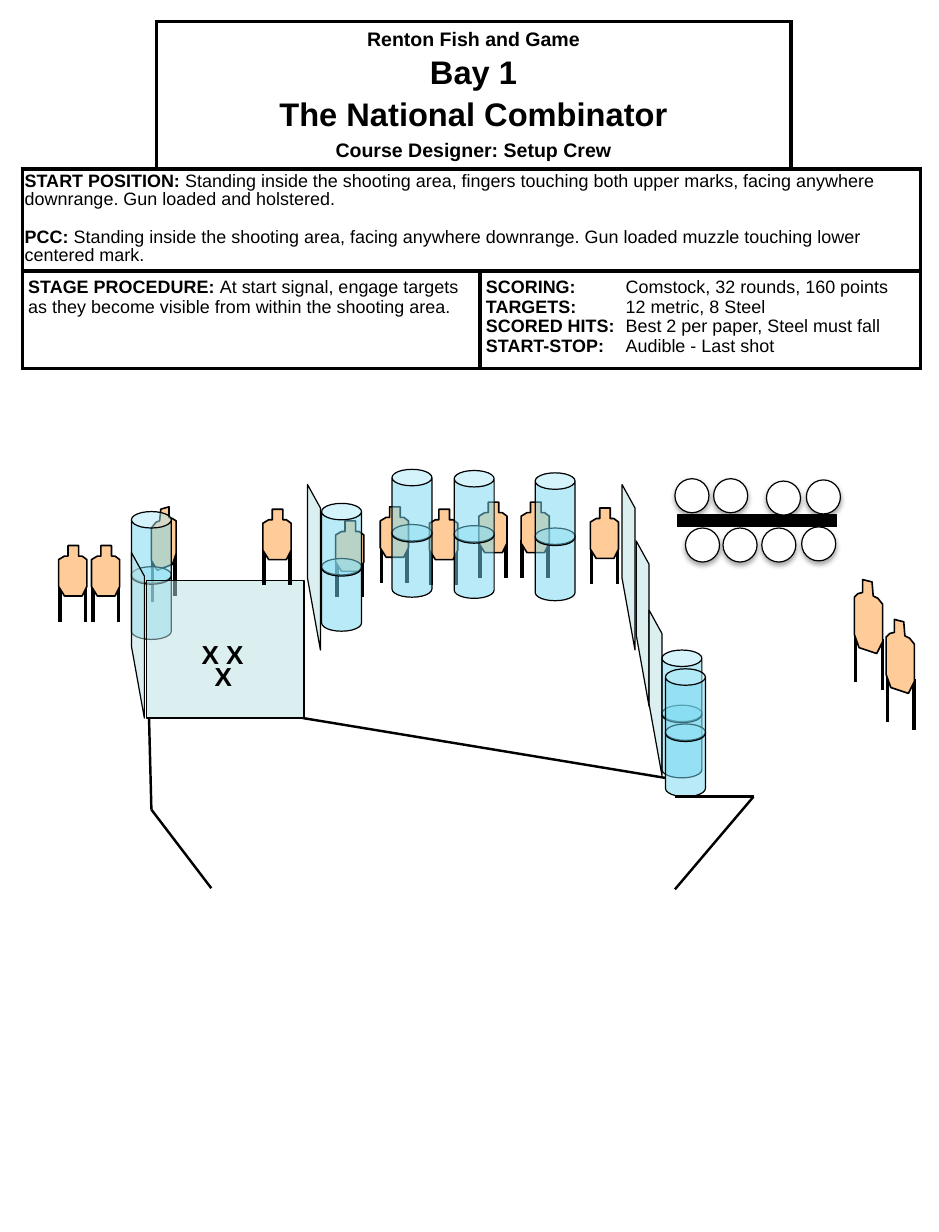
from dataclasses import dataclass

from pptx import Presentation
from pptx.dml.color import RGBColor
from pptx.enum.shapes import MSO_CONNECTOR, MSO_SHAPE
from pptx.enum.text import MSO_ANCHOR, MSO_AUTO_SIZE, PP_ALIGN
from pptx.oxml import parse_xml
from pptx.oxml.ns import nsdecls, qn
from pptx.util import Inches, Pt

STRAIGHT = MSO_CONNECTOR.STRAIGHT
RECT, OVAL, CAN = MSO_SHAPE.RECTANGLE, MSO_SHAPE.OVAL, MSO_SHAPE.CAN
CENTER, MIDDLE, TOP = PP_ALIGN.CENTER, MSO_ANCHOR.MIDDLE, MSO_ANCHOR.TOP

BLACK = RGBColor(0x00, 0x00, 0x00)
WHITE = RGBColor(0xFF, 0xFF, 0xFF)
TAN = RGBColor(0xFF, 0xCC, 0x99)
WALL = RGBColor(0xBB, 0xE0, 0xE3)
BARREL = RGBColor(0x73, 0xD9, 0xF1)

Point = tuple[float, float]


@dataclass(frozen=True)
class Target:
    outline: tuple[Point, ...]
    posts: tuple[Point, ...]
    post_height: float


@dataclass(frozen=True)
class Para:
    runs: tuple[tuple[str, bool], ...]
    size: float = 11
    before: float = 0
    line: float | None = None
    align: PP_ALIGN | None = None
    tab: float | None = None


@dataclass(frozen=True)
class Block:
    row: int
    first: int
    last: int
    margins: Point
    paras: tuple[Para, ...]
    anchor: MSO_ANCHOR = TOP


UPRIGHT = Target(
    ((.08, 0), (.17, 0), (.17, .09), (.2, .09), (.24, .12), (.24, .35), (.2, .43),
     (.05, .43), (0, .35), (0, .12), (.05, .09), (.08, .09)),
    ((.01, .32), (.23, .32)), .33)
TURNED_LEFT = Target(
    ((.08, .02), (.15, 0), (.15, .09), (.18, .1), (.21, .12), (.21, .4), (.18, .49),
     (.05, .54), (0, .46), (0, .18), (.04, .13), (.07, .12)),
    ((.01, .43), (.2, .38)), .38)
TURNED_RIGHT = Target(
    ((.15, .02), (.07, 0), (.07, .11), (.03, .12), (0, .15), (0, .47), (.04, .58),
     (.19, .63), (.24, .53), (.24, .21), (.2, .16), (.16, .14)),
    ((.24, .51), (.01, .44)), .43)
PANEL = ((0, .8), (.11, 1.41), (.11, .2), (0, 0))

COLUMNS = (1.14, 2.76, 2.65, 1.1)
ROWS = (1.26, .87, .83)
OPEN_SIDES = {(0, 0): "LT", (0, 3): "RT"}


def heading(text: str, size: float, before: float) -> Para:
    return Para(((text, True),), size, before, align=CENTER)


def fact(label: str, value: str) -> Para:
    return Para(((label, True), ("\t" + value, False)), tab=1.19)


BLOCKS = (
    Block(0, 1, 2, (.05, .05), (
        heading("Renton Fish and Game", 12, 0),
        heading("Bay 1", 20, 3),
        heading("The National Combinator", 20, 3.5),
        heading("Course Designer: Setup Crew", 12, 3.5)), MIDDLE),
    Block(1, 0, 3, (.02, .04), (
        Para((("START POSITION:", True),
              (" Standing inside the shooting area, fingers touching both upper marks, "
               "facing anywhere downrange. Gun loaded and holstered.", False)), line=.9),
        Para((("PCC: ", True),
              ("Standing inside the shooting area, facing anywhere downrange. "
               "Gun loaded muzzle touching lower centered mark.", False)),
             before=12, line=.9))),
    Block(2, 0, 1, (.05, .05), (
        Para((("STAGE PROCEDURE: ", True),
              ("At start signal, engage targets as they become visible "
               "from within the shooting area.", False))),)),
    Block(2, 2, 3, (.05, .05), (
        fact("SCORING:", "Comstock, 32 rounds, 160 points"),
        fact("TARGETS:", "12 metric, 8 Steel"),
        fact("SCORED HITS:", "Best 2 per paper, Steel must fall"),
        fact("START-STOP:", "Audible - Last shot"))),
)


def style(sp, fill: RGBColor, width: float = .75, alpha: int = 100) -> None:
    sp.shadow.inherit = False
    sp.fill.solid()
    sp.fill.fore_color.rgb = fill
    sp.line.color.rgb = BLACK
    sp.line.width = Pt(width)
    if alpha < 100:
        color = sp._element.spPr.find(qn("a:solidFill"))[0]
        color.append(parse_xml(f'<a:alpha {nsdecls("a")} val="{alpha * 1000}"/>'))


def add_shape(shapes, kind: MSO_SHAPE, x: float, y: float, w: float, h: float,
              fill: RGBColor, alpha: int = 100):
    sp = shapes.add_shape(kind, Inches(x), Inches(y), Inches(w), Inches(h))
    style(sp, fill, alpha=alpha)
    return sp


def add_line(shapes, x1: float, y1: float, x2: float, y2: float, width: float = 1.5) -> None:
    cx = shapes.add_connector(STRAIGHT, Inches(x1), Inches(y1), Inches(x2), Inches(y2))
    cx.line.color.rgb = BLACK
    cx.line.width = Pt(width)
    cx._element.spPr.append(parse_xml(f'<a:effectLst {nsdecls("a")}/>'))


def add_outline(shapes, x: float, y: float, outline: tuple[Point, ...]):
    points = [(Inches(x + dx), Inches(y + dy)) for dx, dy in outline]
    builder = shapes.build_freeform(*points[0])
    builder.add_line_segments(points[1:], close=True)
    return builder.convert_to_shape()


def add_target(shapes, x: float, y: float, target: Target = UPRIGHT) -> None:
    group = shapes.add_group_shape().shapes
    for dx, dy in target.posts:
        add_line(group, x + dx, y + dy, x + dx, y + dy + target.post_height, 2.25)
    style(add_outline(group, x, y, target.outline), TAN, 1)


def add_barrels(shapes, x: float, y: float) -> None:
    group = shapes.add_group_shape().shapes
    for top in (y + .47, y):
        sp = add_shape(group, CAN, x, top, .34, .62, BARREL, 50)
        sp.adjustments[0] = .413


def add_panel(shapes, x: float, y: float) -> None:
    style(add_outline(shapes, x, y, PANEL), WALL, alpha=50)


def add_plate(shapes, x: float, y: float) -> None:
    sp = add_shape(shapes, OVAL, x, y, .29, .29, WHITE)
    sp._element.spPr.find(qn("a:effectLst")).append(parse_xml(
        f'<a:outerShdw {nsdecls("a")} blurRad="{Pt(3.1)}" dist="{Pt(1.8)}" dir="5400000" '
        'rotWithShape="0"><a:srgbClr val="000000"><a:alpha val="35000"/></a:srgbClr>'
        '</a:outerShdw>'))


def format_run(r, size: float, bold: bool) -> None:
    r.font.name = "Arial"
    r.font.size = Pt(size)
    r.font.bold = bold
    r.font.color.rgb = BLACK


def write_para(p, para: Para) -> None:
    p.alignment = para.align
    p.line_spacing = para.line
    p.space_before = Pt(para.before)
    if para.tab:
        p._p.get_or_add_pPr().append(parse_xml(
            f'<a:tabLst {nsdecls("a")}><a:tab pos="{Inches(para.tab)}" algn="l"/></a:tabLst>'))
    for text, bold in para.runs:
        r = p.add_run()
        r.text = text
        format_run(r, para.size, bold)


def add_borders(cell, open_sides: str) -> None:
    for i, side in enumerate("LRTB"):
        paint = ("<a:noFill/>" if side in open_sides else
                 '<a:solidFill><a:srgbClr val="000000"/></a:solidFill>')
        cell._tc.get_or_add_tcPr().insert(i, parse_xml(
            f'<a:ln{side} {nsdecls("a")} w="{Pt(2.25)}">{paint}</a:ln{side}>'))


def add_stage_table(shapes) -> None:
    table = shapes.add_table(len(ROWS), len(COLUMNS), Inches(.19), Inches(.18),
                             Inches(sum(COLUMNS)), Inches(sum(ROWS))).table
    table.first_row = table.horz_banding = False
    for column, width in zip(table.columns, COLUMNS):
        column.width = Inches(width)
    for i, height in enumerate(ROWS):
        table.rows[i].height = Inches(height)
        for j in range(len(COLUMNS)):
            cell = table.cell(i, j)
            cell.fill.solid()
            cell.fill.fore_color.rgb = WHITE
            add_borders(cell, OPEN_SIDES.get((i, j), ""))
    for block in BLOCKS:
        cell = table.cell(block.row, block.first)
        cell.merge(table.cell(block.row, block.last))
        cell.margin_left = cell.margin_right = Inches(block.margins[0])
        cell.margin_top = cell.margin_bottom = Inches(block.margins[1])
        cell.vertical_anchor = block.anchor
        tf = cell.text_frame
        for i, para in enumerate(block.paras):
            write_para(tf.add_paragraph() if i else tf.paragraphs[0], para)


def add_mark(shapes, text: str, x: float, y: float, width: float) -> None:
    tf = shapes.add_textbox(Inches(x), Inches(y), Inches(width), Inches(.37)).text_frame
    tf.word_wrap = False
    tf.auto_size = MSO_AUTO_SIZE.SHAPE_TO_FIT_TEXT
    tf.text = text
    format_run(tf.paragraphs[0].runs[0], 16, True)


def main() -> None:
    prs = Presentation()
    prs.slide_width, prs.slide_height = Inches(8), Inches(10.5)
    shapes = prs.slides.add_slide(prs.slide_layouts[6]).shapes

    for x, y in ((4.08, 4.28), (4.44, 4.28), (3.66, 4.34), (3.24, 4.32), (2.86, 4.44)):
        add_target(shapes, x, y)
    add_target(shapes, 1.29, 4.32, TURNED_LEFT)
    add_barrels(shapes, 1.12, 4.36)
    add_stage_table(shapes)

    add_shape(shapes, RECT, 1.25, 4.95, 1.34, 1.17, WALL, 50)
    add_panel(shapes, 1.12, 4.71)
    for x, y in ((.78, 4.65), (.5, 4.65), (2.24, 4.34)):
        add_target(shapes, x, y)
    for x, y in ((2.62, 4.13), (5.3, 4.13), (5.42, 4.61), (5.53, 5.2)):
        add_panel(shapes, x, y)
    for x, y in ((5.64, 5.54), (5.67, 5.7)):
        add_barrels(shapes, x, y)
    for ends in ((5.75, 6.79, 6.42, 6.79), (5.75, 7.58, 6.42, 6.79), (1.27, 6.12, 1.29, 6.9),
                 (1.29, 6.9, 1.8, 7.57), (2.58, 6.12, 5.67, 6.63)):
        add_line(shapes, *ends)

    rack = shapes.add_group_shape().shapes
    add_shape(rack, RECT, 5.77, 4.39, 1.36, .1, BLACK)
    for x, y in ((5.75, 4.08), (6.08, 4.08), (6.53, 4.1), (6.87, 4.09),
                 (5.84, 4.5), (6.16, 4.5), (6.49, 4.5), (6.83, 4.49)):
        add_plate(rack, x, y)

    for x, y in ((7.28, 4.94), (7.55, 5.28)):
        add_target(shapes, x, y, TURNED_RIGHT)
    for x, y in ((2.74, 4.29), (3.34, 4), (3.87, 4.01), (4.56, 4.03)):
        add_barrels(shapes, x, y)
    add_target(shapes, 5.03, 4.33)
    add_mark(shapes, "X X", 1.62, 5.39, .58)
    add_mark(shapes, "X", 1.73, 5.58, .34)
    prs.save("out.pptx")


if __name__ == "__main__":
    main()
